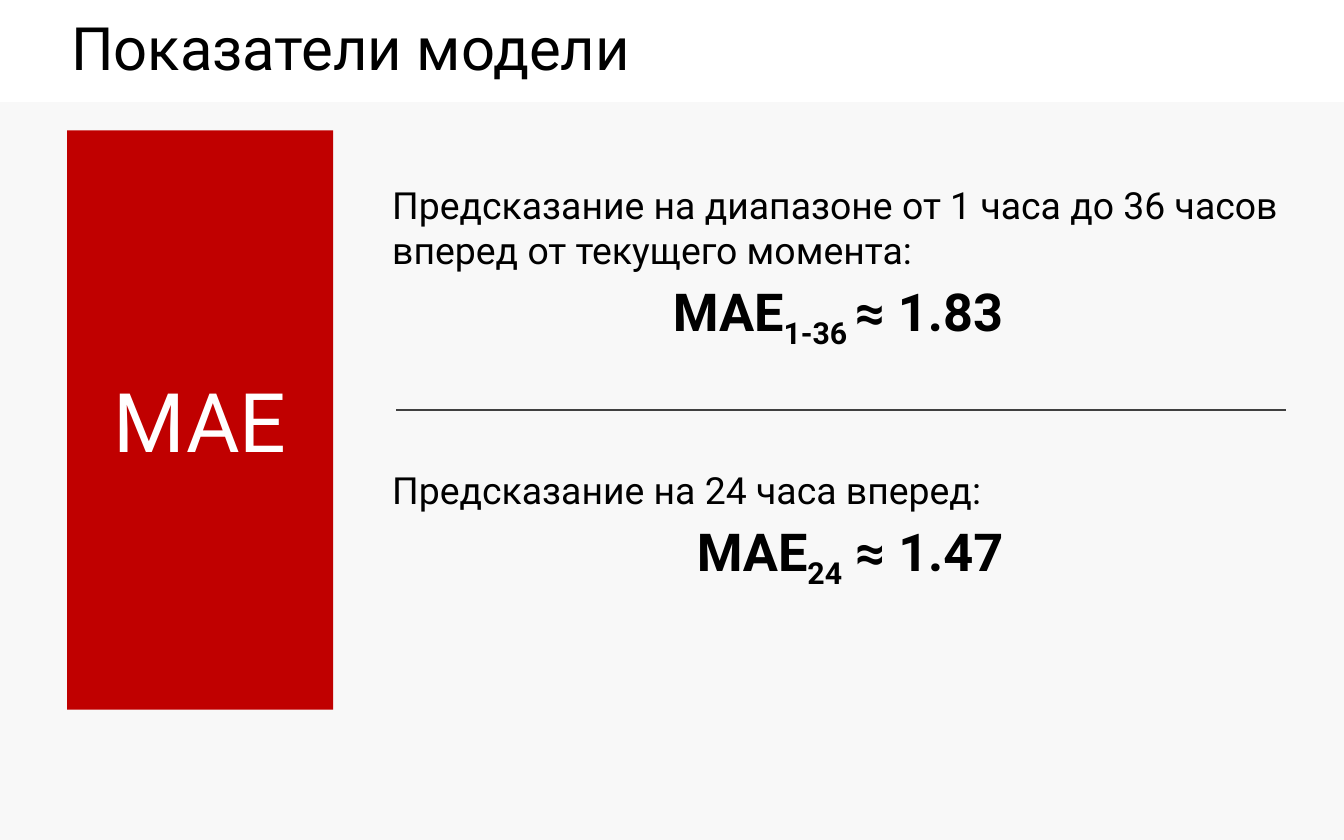
from dataclasses import dataclass

import pptx
import pptx.dml.color
import pptx.enum.shapes
import pptx.enum.text
import pptx.oxml
import pptx.oxml.ns
import pptx.util
from pptx.util import Inches

FONT = "Roboto"
BLACK, WHITE, RED, GREY, BACKGROUND = "000000", "FFFFFF", "C00000", "404040", "F8F8F8"
ALIGN = pptx.enum.text.PP_ALIGN
MIDDLE = pptx.enum.text.MSO_ANCHOR.MIDDLE


@dataclass
class Metric:
    top: float
    height: float
    description: str
    subscript: str
    value: str
    indent: float = 0


METRICS = [
    Metric(1.31, 1.43, "Предсказание на диапазоне от 1 часа до 36 часов вперед от текущего момента:",
           "1-36 ", "≈ 1.83"),
    Metric(3.43, 1.35, "Предсказание на 24 часа вперед:", "24", " ≈ 1.47", 0.18),
]


def color(value: str) -> pptx.dml.color.RGBColor:
    return pptx.dml.color.RGBColor.from_string(value)


def format_paragraph(paragraph, size: float, text_color: str = BLACK,
                     bold: bool = False, align=ALIGN.LEFT) -> None:
    paragraph.alignment = align
    paragraph.font.name = FONT
    paragraph.font.size = pptx.util.Pt(size)
    paragraph.font.bold = bold
    paragraph.font.color.rgb = color(text_color)


def add_rectangle(slide, left: float, top: float, width: float, height: float, fill: str):
    shape = slide.shapes.add_shape(pptx.enum.shapes.MSO_SHAPE.RECTANGLE, Inches(left),
                                   Inches(top), Inches(width), Inches(height))
    shape.shadow.inherit = False
    shape.fill.solid()
    shape.fill.fore_color.rgb = color(fill)
    shape.line.fill.background()
    return shape


def add_title(slide, text: str) -> None:
    """Put the title on its white band."""
    band = add_rectangle(slide, 0, 0, 10, 0.76, WHITE)
    title = slide.shapes.title
    band._element.addnext(title._element)
    title.left, title.top = Inches(0.43), Inches(-0.02)
    title.width, title.height = Inches(8.59), Inches(0.73)
    title.text_frame.text = text
    title.text_frame.auto_size = pptx.enum.text.MSO_AUTO_SIZE.NONE
    title.text_frame.vertical_anchor = MIDDLE
    format_paragraph(title.text_frame.paragraphs[0], 32)


def add_metric(slide, metric: Metric) -> None:
    box = slide.shapes.add_textbox(Inches(2.82), Inches(metric.top),
                                   Inches(6.83), Inches(metric.height))
    frame = box.text_frame
    frame.word_wrap = True
    description = frame.paragraphs[0]
    description.text = metric.description
    format_paragraph(description, 20)

    result = frame.add_paragraph()
    format_paragraph(result, 28, bold=True, align=ALIGN.CENTER)
    result._p.get_or_add_pPr().set("marL", str(Inches(metric.indent)))
    for text, baseline in (("MAE", 0), (metric.subscript, -25000), (metric.value, 0)):
        run = result.add_run()
        run.text = text
        if baseline:
            run._r.get_or_add_rPr().set("baseline", str(baseline))
    for paragraph in frame.paragraphs:
        paragraph.space_before = pptx.util.Pt(3.6)


def add_divider(slide, left: float, right: float, y: float) -> None:
    line = slide.shapes.add_connector(pptx.enum.shapes.MSO_CONNECTOR.STRAIGHT,
                                      Inches(left), Inches(y), Inches(right), Inches(y))
    line.line.color.rgb = color(GREY)
    line.line.width = pptx.util.Pt(0.75)
    line._element.spPr.append(pptx.oxml.parse_xml(
        f"<a:effectLst {pptx.oxml.ns.nsdecls('a')}/>"))


def main() -> None:
    presentation = pptx.Presentation()
    presentation.slide_width, presentation.slide_height = Inches(10), Inches(6.25)
    slide = presentation.slides.add_slide(presentation.slide_layouts[5])
    slide.background.fill.solid()
    slide.background.fill.fore_color.rgb = color(BACKGROUND)

    add_title(slide, "Показатели модели")
    panel = add_rectangle(slide, 0.5, 0.97, 1.98, 4.31, RED)
    panel.text_frame.text = "MAE"
    panel.text_frame.vertical_anchor = MIDDLE
    format_paragraph(panel.text_frame.paragraphs[0], 44, WHITE, align=ALIGN.CENTER)
    for metric in METRICS:
        add_metric(slide, metric)
    add_divider(slide, 2.95, 9.57, 3.05)
    presentation.save("out.pptx")


if __name__ == "__main__":
    main()
